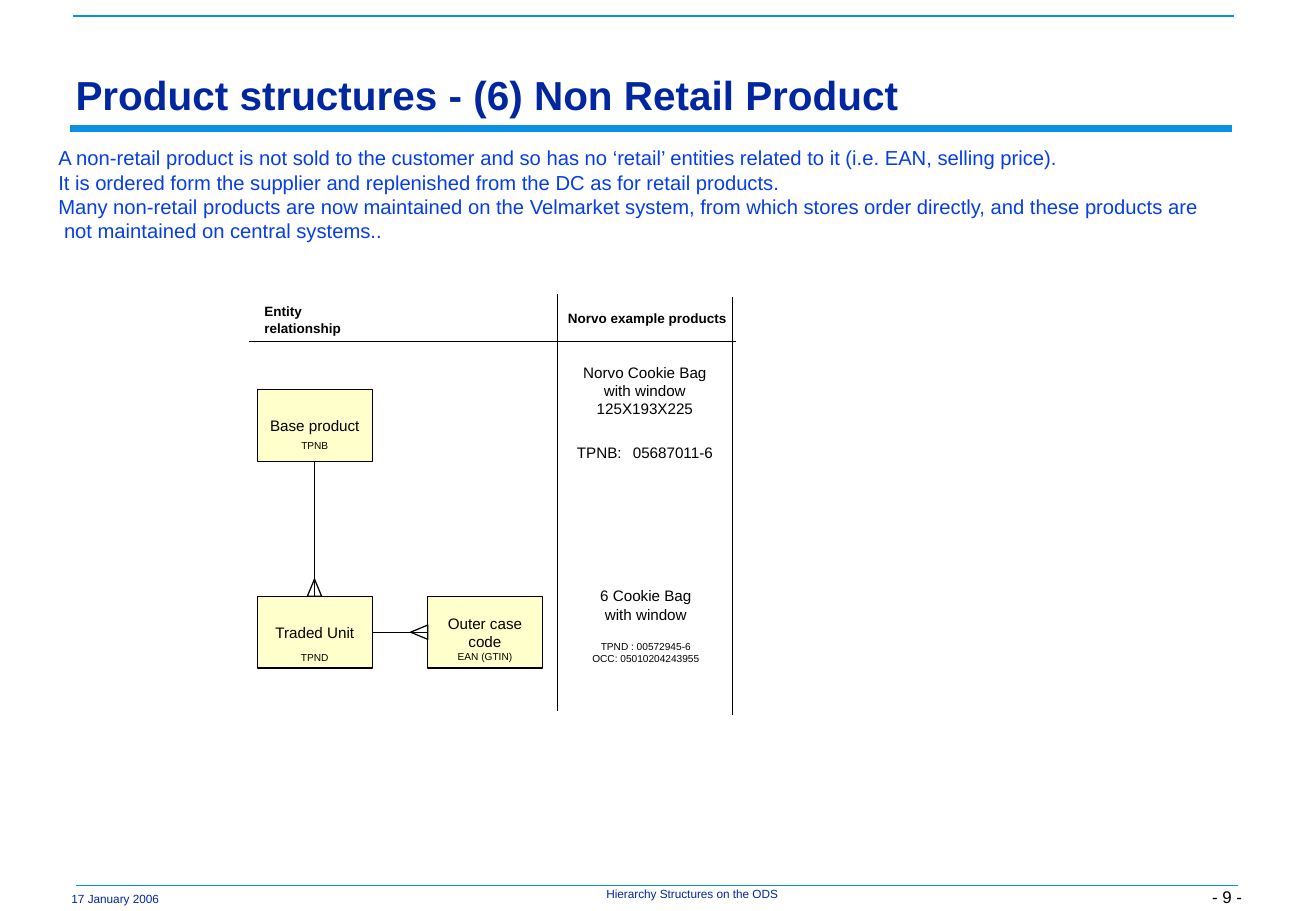
from lxml import etree
from pptx import Presentation
from pptx.dml.color import RGBColor
from pptx.enum.shapes import MSO_CONNECTOR, MSO_SHAPE
from pptx.enum.text import MSO_ANCHOR, PP_ALIGN
from pptx.oxml.ns import qn
from pptx.util import Cm, Pt

RECT, TRIANGLE = MSO_SHAPE.RECTANGLE, MSO_SHAPE.ISOSCELES_TRIANGLE
STRAIGHT = MSO_CONNECTOR.STRAIGHT
LEFT, CENTER, RIGHT = PP_ALIGN.LEFT, PP_ALIGN.CENTER, PP_ALIGN.RIGHT
TOP, MIDDLE, BOTTOM = MSO_ANCHOR.TOP, MSO_ANCHOR.MIDDLE, MSO_ANCHOR.BOTTOM
BLACK, NAVY, BLUE, SKY, CREAM = "000000", "00279F", "063DE8", "0A91E6", "FFFFCC"
BOX_W, BOX_H = 2.41, 1.5
FOOT_W, FOOT_H = 0.3, 0.36


def rgb(value):
    return RGBColor.from_string(value)


class Deck:
    font = "Arial"

    def __init__(self, width, height):
        self.prs = Presentation()
        self.prs.slide_width, self.prs.slide_height = Cm(width), Cm(height)
        self.s = self.prs.slides.add_slide(self.prs.slide_layouts[5])

    def style(self, r, size, color=BLACK, bold=False):
        r.font.name, r.font.size, r.font.bold = self.font, Pt(size), bold
        r.font.color.rgb = rgb(color)

    def fill_text(self, tf, lines, size, color=BLACK, bold=False, align=CENTER,
                  anchor=MIDDLE, wrap=False, insets=(0.25, 0.13)):
        tf.text = "\n".join(lines)
        tf.word_wrap, tf.vertical_anchor = wrap, anchor
        tf.margin_left = tf.margin_right = Cm(insets[0])
        tf.margin_top = tf.margin_bottom = Cm(insets[1])
        for p in tf.paragraphs:
            p.alignment = align
            for r in p.runs:
                self.style(r, size, color, bold)
        return tf

    def title(self, text, x, y, w, h):
        sp = self.s.shapes.title
        sp.left, sp.top, sp.width, sp.height = Cm(x), Cm(y), Cm(w), Cm(h)
        tf = self.fill_text(sp.text_frame, [text], 24, NAVY, True, LEFT,
                            BOTTOM, True, (0.18, 0.08))
        tf.paragraphs[0].line_spacing = 0.97

    def text(self, x, y, w, h, lines, size, **style):
        sp = self.s.shapes.add_textbox(Cm(x), Cm(y), Cm(w), Cm(h))
        return self.fill_text(sp.text_frame, lines, size, **style)

    def line(self, x1, y1, x2, y2, color=BLACK, width=0.75):
        c = self.s.shapes.add_connector(STRAIGHT, Cm(x1), Cm(y1), Cm(x2), Cm(y2))
        c.line.color.rgb, c.line.width = rgb(color), Pt(width)
        etree.SubElement(c._element.spPr, qn("a:effectLst"))
        return c

    def join(self, start, start_side, end, end_side):
        c = self.line(0, 0, 1, 1)
        c.begin_connect(start, start_side)
        c.end_connect(end, end_side)

    def shape(self, kind, x, y, w, h, fill=None):
        sp = self.s.shapes.add_shape(kind, Cm(x), Cm(y), Cm(w), Cm(h))
        sp.shadow.inherit = False
        if fill:
            sp.fill.solid()
            sp.fill.fore_color.rgb = rgb(fill)
        else:
            sp.fill.background()
        sp.line.color.rgb, sp.line.width = rgb(BLACK), Pt(0.75)
        return sp

    def entity(self, x, y, name, code, code_offset):
        sp = self.shape(RECT, x, y, BOX_W, BOX_H, CREAM)
        self.fill_text(sp.text_frame, [name], 9, wrap=True)
        self.text(x, y + code_offset, BOX_W, 0.51, [code], 6)
        return sp

    def crows_foot(self, cx, cy, rotation=0):
        sp = self.shape(TRIANGLE, cx - FOOT_W / 2, cy - FOOT_H / 2, FOOT_W, FOOT_H)
        sp.rotation = rotation


def main():
    d = Deck(27.53, 19.05)
    for x, y, width in ((1.52, 0.33, 1), (1.47, 2.69, 4), (1.6, 18.52, 1)):
        d.line(x, y, x + 24.3, y, SKY, width)
    d.title("Product structures - (6) Non Retail Product", 1.4, 1.47, 24.46, 1.12)

    intro = d.text(0.97, 2.92, 24.54, 2.29, [
        "A non-retail product is not sold to the customer and so has no ‘retail’ "
        "entities related to it (i.e. EAN, selling price).",
        "It is ordered form the supplier and replenished from the DC as for retail products.",
        "Many non-retail products are now maintained on the Velmarket system, "
        "from which stores order directly, and these products are",
        "not maintained on central systems.."], 12, color=BLUE, align=LEFT)
    intro.paragraphs[3]._p.get_or_add_pPr().set("marL", str(Cm(0.12)))

    base = d.entity(5.38, 8.15, "Base product", "TPNB", 0.91)
    traded = d.entity(5.38, 12.47, "Traded Unit", "TPND", 1.02)
    outer = d.entity(8.94, 12.47, "Outer case code", "EAN (GTIN)", 1.0)
    d.join(base, 2, traded, 0)
    d.join(traded, 3, outer, 1)
    d.crows_foot(6.58, 12.29)
    d.crows_foot(8.77, 13.22, 270)

    d.line(11.66, 6.15, 11.66, 14.86)
    d.line(15.32, 6.22, 15.32, 14.96)
    d.line(5.21, 7.14, 15.39, 7.14)
    d.text(5.28, 6.38, 2.97, 0.61, ["Entity relationship"], 8, bold=True, align=LEFT)
    d.text(11.63, 6.35, 3.84, 0.61, ["Norvo example products"], 8, bold=True, align=LEFT)

    bag = d.text(11.66, 7.47, 3.66, 2.41,
                 ["Norvo Cookie Bag", "with window", "125X193X225", "TPNB:"], 9, wrap=True)
    for text, size in ((" ", 24), ("05687011-6", 9)):
        r = bag.paragraphs[3].add_run()
        r.text = text
        d.style(r, size)

    case = d.text(12.14, 12, 2.74, 2.16,
                  ["6 Cookie Bag", "with window", "TPND : 00572945-6",
                   "OCC: 05010204243955"], 9)
    for p in case.paragraphs[2:]:
        p.runs[0].font.size = Pt(6)
    case.paragraphs[2].space_before = Pt(10)

    d.text(1.24, 18.52, 2.34, 0.56, ["17 January 2006"], 7, color=NAVY)
    footer = d.text(12.55, 18.57, 3.86, 0.28, ["Hierarchy Structures on the ODS"], 7,
                    color=NAVY, anchor=TOP, wrap=True, insets=(0, 0))
    footer.paragraphs[0].line_spacing = 0.9
    d.text(24.64, 18.06, 1.52, 0.99, ["- 9 -"], 10, align=RIGHT, anchor=BOTTOM,
           wrap=True, insets=(0.18, 0.08))
    d.prs.save("out.pptx")


if __name__ == "__main__":
    main()
